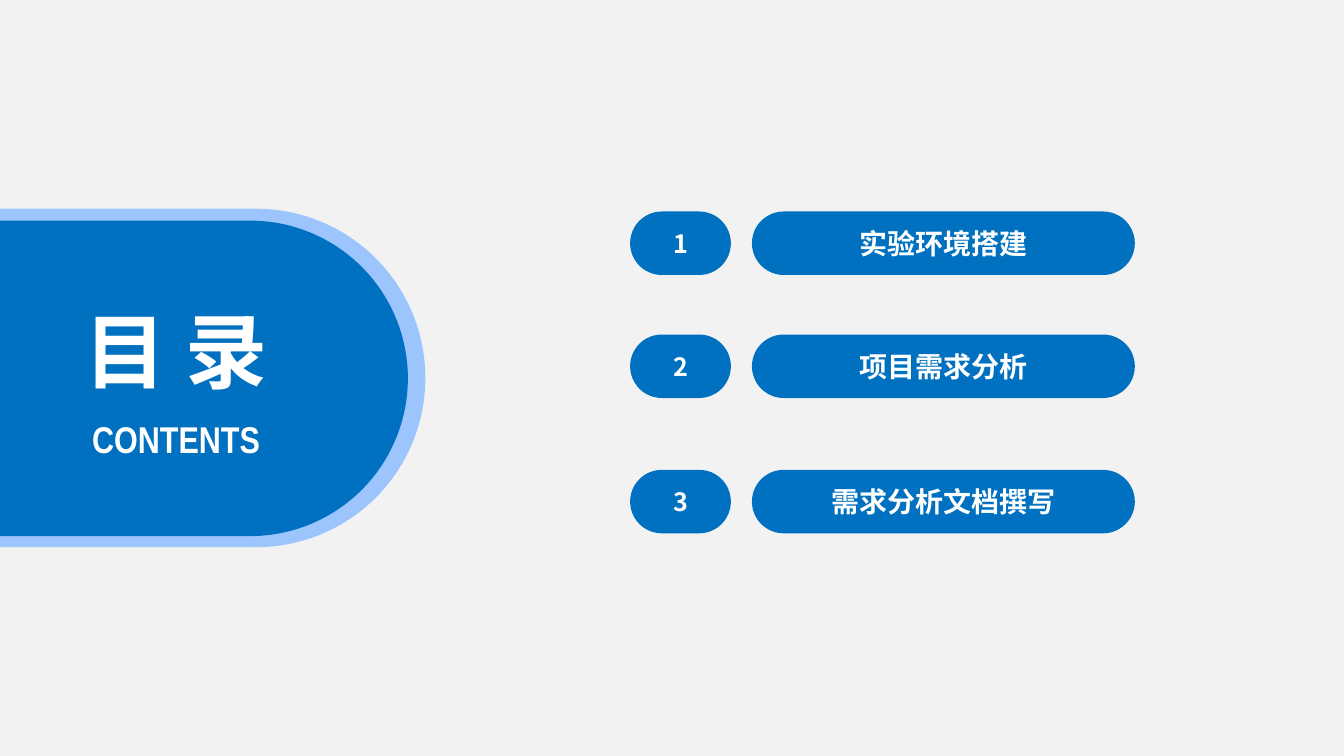
from pptx import Presentation
from pptx.dml.color import RGBColor
from pptx.enum.shapes import MSO_SHAPE
from pptx.enum.text import MSO_ANCHOR, MSO_AUTO_SIZE, PP_ALIGN
from pptx.oxml.ns import qn
from pptx.util import Cm, Pt

PILL = MSO_SHAPE.ROUNDED_RECTANGLE
MIDDLE = MSO_ANCHOR.MIDDLE
TOP = MSO_ANCHOR.TOP
CENTER = PP_ALIGN.CENTER
FIXED = MSO_AUTO_SIZE.NONE

BLUE = RGBColor(0x00, 0x70, 0xC0)
SKY = RGBColor(0x9C, 0xC5, 0xFD)
GREY = RGBColor(0xF2, 0xF2, 0xF2)
WHITE = RGBColor(0xFF, 0xFF, 0xFF)
HAN = "Noto Sans CJK SC"
LATIN = "Arial Narrow"


class Deck:
    """Holds the presentation, its current slide and the text style."""

    def __init__(self):
        self.prs = Presentation()
        self.prs.slide_width, self.prs.slide_height = Cm(33.87), Cm(19.05)
        self.slide = self.prs.slides.add_slide(self.prs.slide_layouts[5])
        back = self.slide.background.fill
        back.solid()
        back.fore_color.rgb = GREY

    def set_text(self, shape, text, size, font=HAN, anchor=MIDDLE):
        frame = shape.text_frame
        frame.auto_size = FIXED
        frame.word_wrap = False
        frame.vertical_anchor = anchor
        para = frame.paragraphs[0]
        para.alignment = CENTER
        run = para.add_run()
        run.text = text
        run.font.size = Pt(size)
        run.font.bold = True
        run.font.name = font
        run.font.color.rgb = WHITE
        props = run._r.get_or_add_rPr()
        east = props.makeelement(qn("a:ea"), {"typeface": font})
        props.find(qn("a:latin")).addnext(east)

    def pill(self, x, y, w, h, fill=BLUE):
        shape = self.slide.shapes.add_shape(PILL, Cm(x), Cm(y), Cm(w), Cm(h))
        shape.adjustments[0] = 0.5
        shape.shadow.inherit = False
        shape.fill.solid()
        shape.fill.fore_color.rgb = fill
        shape.line.fill.background()
        return shape

    def title(self, text, x, y, w, h, size):
        shape = self.slide.shapes.title
        shape.left, shape.top, shape.width, shape.height = Cm(x), Cm(y), Cm(w), Cm(h)
        self.set_text(shape, text, size, anchor=TOP)
        # Bring the title in front of the panel.
        self.slide.shapes._spTree.append(shape._element)

    def label(self, text, x, y, w, h, size, font):
        box = self.slide.shapes.add_textbox(Cm(x), Cm(y), Cm(w), Cm(h))
        self.set_text(box, text, size, font, TOP)


def main():
    deck = Deck()
    deck.pill(-4.98, 5.26, 15.7, 8.53, SKY)
    deck.pill(-4.32, 5.56, 14.6, 7.95)
    deck.title("目 录", 1.78, 7.44, 5.31, 2.77, 58.6)
    deck.label("CONTENTS", 1.57, 10.36, 5.74, 1.4, 26.6, LATIN)

    topics = [("实验环境搭建", 5.33), ("项目需求分析", 8.43), ("需求分析文档撰写", 11.84)]
    for num, (topic, y) in enumerate(topics, 1):
        deck.set_text(deck.pill(15.88, y, 2.54, 1.6), str(num), 18)
        deck.set_text(deck.pill(18.95, y, 9.65, 1.6), topic, 20)

    deck.prs.save("out.pptx")


if __name__ == "__main__":
    main()
